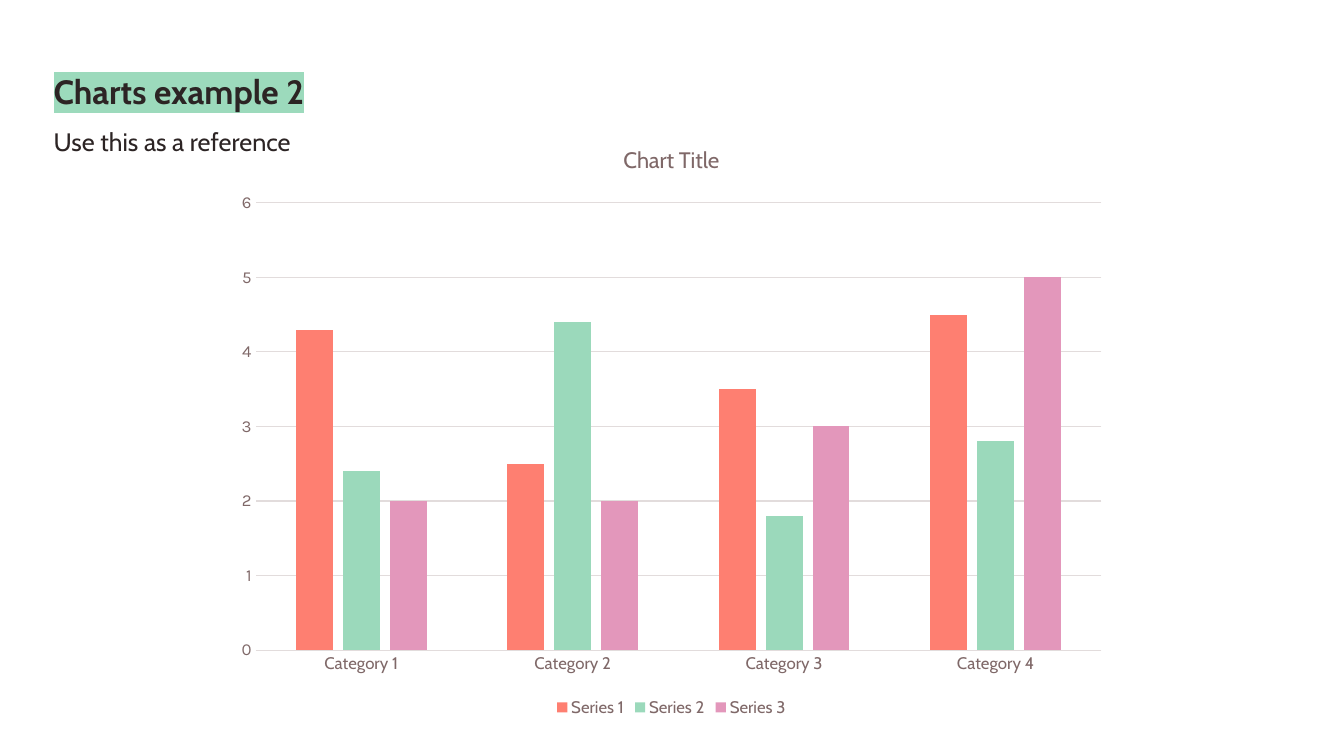
from dataclasses import dataclass

from lxml.etree import SubElement
from pptx import Presentation
from pptx.chart.data import CategoryChartData
from pptx.dml.color import RGBColor
from pptx.enum.chart import XL_CHART_TYPE as ChartType
from pptx.enum.chart import XL_LEGEND_POSITION as LegendPosition
from pptx.enum.chart import XL_TICK_MARK as TickMark
from pptx.enum.text import MSO_ANCHOR as Anchor
from pptx.enum.text import MSO_AUTO_SIZE as AutoSize
from pptx.enum.text import PP_ALIGN as Align
from pptx.oxml.ns import qn
from pptx.util import Pt

PX = 9525


@dataclass(frozen=True)
class Theme:
    text: str = "2C2424"
    muted: str = "7F6868"
    grid: str = "E2DCDC"
    highlight: str = "9CDABC"
    series: tuple = ("FE7F71", "9BD9BB", "E397BB")
    main_font: str = "Cabin"
    number_font: str = "Karla"
    title_size: int = 24
    body_size: int = 18
    chart_title_size: int = 16
    label_size: int = 12


theme = Theme()


def style_font(font, size, color, name=theme.main_font, bold=False):
    font.size = Pt(size)
    font.bold = bold
    font.color.rgb = RGBColor.from_string(color)
    font.name = name


def fill_placeholder(placeholder, box, text, size, bold=False):
    """Move a placeholder, clear its insets and return its single run."""
    placeholder.left, placeholder.top, placeholder.width, placeholder.height = (
        length * PX for length in box)
    frame = placeholder.text_frame
    frame.margin_left = frame.margin_top = frame.margin_right = frame.margin_bottom = 0
    frame.vertical_anchor = Anchor.TOP
    frame.auto_size = AutoSize.NONE
    frame.word_wrap = True
    paragraph = frame.paragraphs[0]
    properties = paragraph._p.get_or_add_pPr()
    properties.set("marL", "0")
    properties.set("indent", "0")
    SubElement(properties, qn("a:buNone"))
    paragraph.alignment = Align.LEFT
    paragraph.space_before = Pt(0)
    run = paragraph.add_run()
    run.text = text
    style_font(run.font, size, theme.text, bold=bold)
    return run


presentation = Presentation()
presentation.slide_width = 1280 * PX
presentation.slide_height = 720 * PX
slide = presentation.slides.add_slide(presentation.slide_layouts[1])

# Heading
title = slide.shapes.title
title_run = fill_placeholder(title, (51, 72, 1164, 85), "Charts example 2",
                             theme.title_size, bold=True)
title.text_frame.paragraphs[0].line_spacing = 0.9
run_properties = title_run._r.get_or_add_rPr()
highlight = SubElement(run_properties, qn("a:highlight"))
SubElement(highlight, qn("a:srgbClr")).set("val", theme.highlight)
run_properties.find(qn("a:solidFill")).addnext(highlight)

fill_placeholder(slide.placeholders[1], (51, 120, 582, 85),
                 "Use this as a reference", theme.body_size)

# Chart
chart_data = CategoryChartData()
chart_data.categories = [f"Category {number}" for number in range(1, 5)]
chart_data.add_series("Series 1", (4.3, 2.5, 3.5, 4.5))
chart_data.add_series("Series 2", (2.4, 4.4, 1.8, 2.8))
chart_data.add_series("Series 3", (2, 2, 3, 5))
chart = slide.shapes.add_chart(ChartType.COLUMN_CLUSTERED, 213 * PX, 118 * PX,
                               853 * PX, 569 * PX, chart_data).chart
style_font(chart.font, theme.label_size, theme.muted)

chart.has_title = True
chart_title_run = chart.chart_title.text_frame.paragraphs[0].add_run()
chart_title_run.text = "Chart Title"
style_font(chart_title_run.font, theme.chart_title_size, theme.muted)
chart.chart_title.include_in_layout = False

chart.has_legend = True
chart.legend.position = LegendPosition.BOTTOM
chart.legend.include_in_layout = False
style_font(chart.legend.font, theme.label_size, theme.muted)

plot = chart.plots[0]
plot.gap_width = 219
plot.overlap = -27
plot.vary_by_categories = False
for series, color in zip(plot.series, theme.series):
    series.format.fill.solid()
    series.format.fill.fore_color.rgb = RGBColor.from_string(color)
    series.format.line.fill.background()

category_axis, value_axis = chart.category_axis, chart.value_axis
for axis, font_name in ((category_axis, theme.main_font),
                        (value_axis, theme.number_font)):
    axis.major_tick_mark = axis.minor_tick_mark = TickMark.NONE
    style_font(axis.tick_labels.font, theme.label_size, theme.muted, font_name)

value_axis.minimum_scale = 0
value_axis.maximum_scale = 6
value_axis.major_unit = 1
value_axis.has_major_gridlines = True
value_axis.format.line.fill.background()
for line in (category_axis.format.line, value_axis.major_gridlines.format.line):
    line.color.rgb = RGBColor.from_string(theme.grid)
    line.width = Pt(0.75)

presentation.save("out.pptx")
